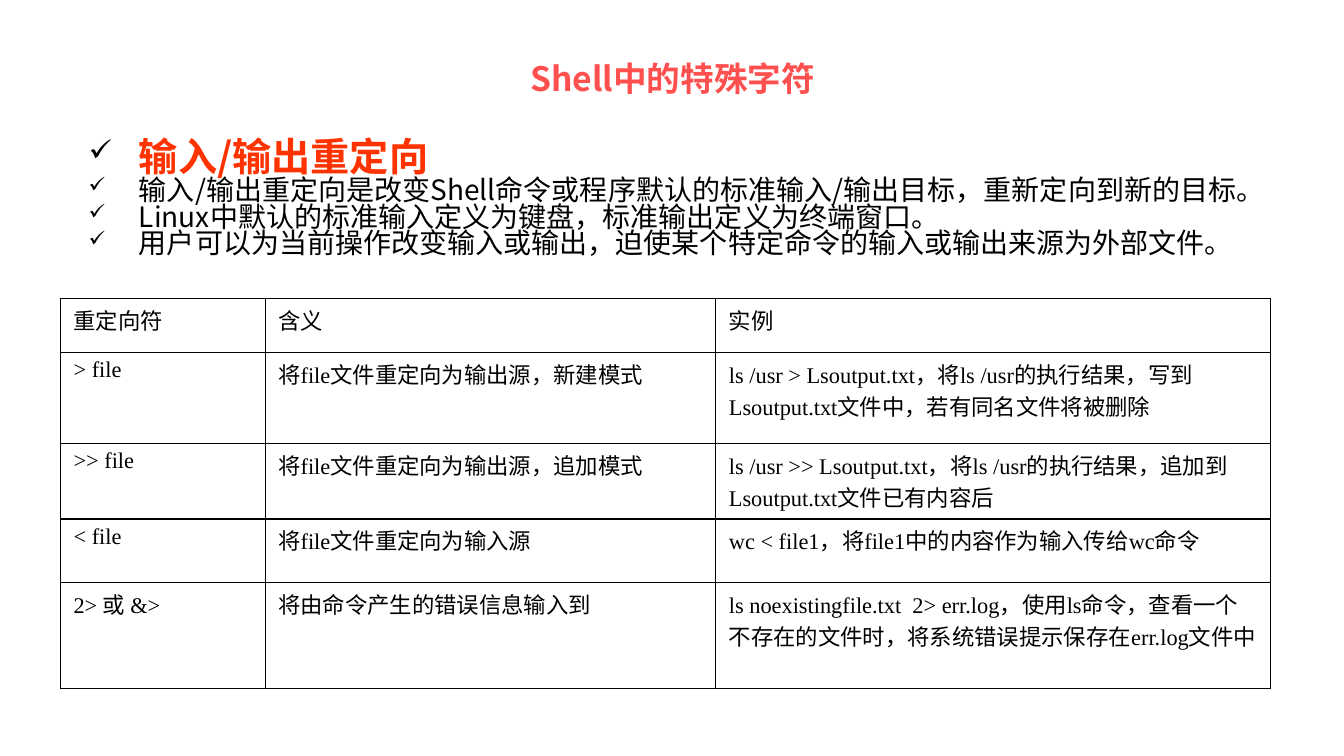
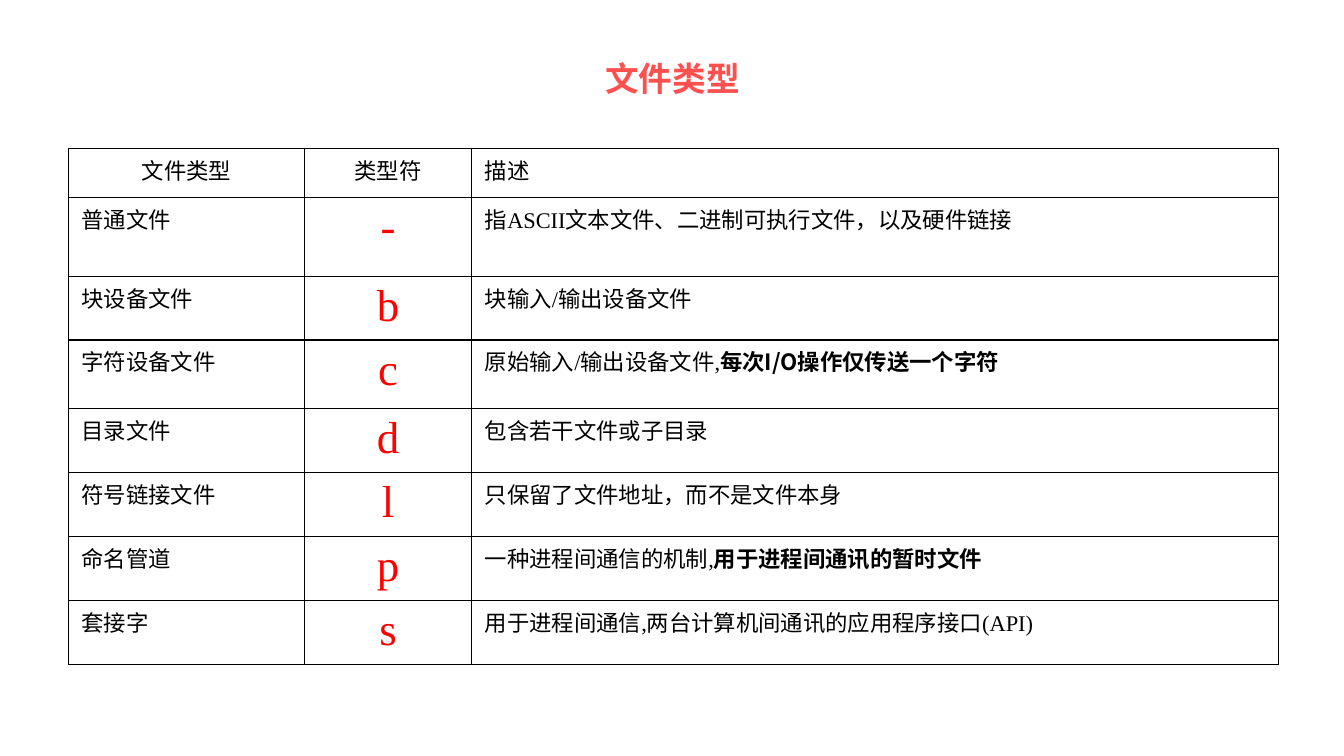
"""Builds two slides on shell redirection and file types."""
from dataclasses import dataclass
from lxml.etree import SubElement as Sub
from pptx import Presentation as Deck
from pptx.dml.color import RGBColor as Rgb
from pptx.enum.text import MSO_ANCHOR as Anchor, PP_ALIGN as Align
from pptx.oxml.ns import qn
from pptx.util import Pt

PX = 9144
HUES = {"title": "FF5050", "head": "FF3300", "text": "000000", "sign": "FF0000"}
SANS, SERIF = "Noto Sans CJK SC", "Times New Roman"


@dataclass(frozen=True)
class Style:
    size: int
    hue: str
    face: str = SANS
    bold: bool = False


@dataclass(frozen=True)
class Grid:
    x: int
    y: int
    cols: list[int]
    rows: list[int]
    cells: list[tuple]
    hang: int = 0
    signs: int = -1


TITLE = Style(24, "title", bold=True)
HEAD = Style(28, "head", bold=True)
BODY = Style(20, "text")
CELL = Style(16, "text", SERIF)
SIGN = Style(32, "sign", SERIF)

POINTS = [
    ("输入/输出重定向", HEAD),
    ("输入/输出重定向是改变Shell命令或程序默认的标准输入/输出目标，重新定向到新的目标。", BODY),
    ("Linux中默认的标准输入定义为键盘，标准输出定义为终端窗口。", BODY),
    ("用户可以为当前操作改变输入或输出，迫使某个特定命令的输入或输出来源为外部文件。", BODY),
]

FLOWS = Grid(60, 296, [203, 447, 550], [54, 90, 75, 63, 105], [
    ("重定向符", "含义", "实例"),
    ("> file", "将file文件重定向为输出源，新建模式",
     "ls /usr > Lsoutput.txt，将ls /usr的执行结果，写到Lsoutput.txt文件中，若有同名文件将被删除"),
    (">> file", "将file文件重定向为输出源，追加模式",
     "ls /usr >> Lsoutput.txt，将ls /usr的执行结果，追加到Lsoutput.txt文件已有内容后"),
    ("< file", "将file文件重定向为输入源", "wc < file1，将file1中的内容作为输入传给wc命令"),
    ("2> 或 &>", "将由命令产生的错误信息输入到",
     "ls noexistingfile.txt  2> err.log，使用ls命令，查看一个不存在的文件时，将系统错误提示保存在err.log文件中"),
])

KINDS = Grid(68, 147, [234, 166, 800], [49, 78, 63, 68, 63, 63, 63, 63], [
    ("文件类型", "类型符", "描述"),
    ("普通文件", "-", "指ASCII文本文件、二进制可执行文件，以及硬件链接"),
    ("块设备文件", "b", "块输入/输出设备文件"),
    ("字符设备文件", "c", ("原始输入/输出设备文件,", "每次I/O操作仅传送一个字符")),
    ("目录文件", "d", "包含若干文件或子目录"),
    ("符号链接文件", "l", "只保留了文件地址，而不是文件本身"),
    ("命名管道", "p", ("一种进程间通信的机制,", "用于进程间通讯的暂时文件")),
    ("套接字", "s", "用于进程间通信,两台计算机间通讯的应用程序接口(API)"),
], hang=30, signs=1)


def indent(para, hang: int) -> None:
    props = para._p.get_or_add_pPr()
    props.set("marL", str(hang * PX))
    props.set("indent", str(-hang * PX))


def paint(para, style: Style) -> None:
    font = para.font
    font.size, font.bold, font.name = Pt(style.size), style.bold, style.face
    font.color.rgb = Rgb.from_string(HUES[style.hue])
    props = para._p.pPr.find(qn("a:defRPr"))
    Sub(props, qn("a:ea"), typeface=SANS)


def tick(para) -> None:
    props = para._p.get_or_add_pPr()
    color = Sub(props, qn("a:buClr"))
    Sub(color, qn("a:srgbClr"), val=HUES["text"])
    Sub(props, qn("a:buSzPct"), val="76000")
    Sub(props, qn("a:buChar"), char="✓")


def add_box(slide, x: int, y: int, w: int, h: int):
    frame = slide.shapes.add_textbox(x * PX, y * PX, w * PX, h * PX).text_frame
    frame.word_wrap = True
    return frame


def add_title(deck, text: str):
    slide = deck.slides.add_slide(deck.slide_layouts[6])
    frame = add_box(slide, 83, 54, 1168, 46)
    frame.vertical_anchor = Anchor.MIDDLE
    para = frame.paragraphs[0]
    para.text, para.alignment = text, Align.CENTER
    paint(para, TITLE)
    return slide


def add_points(slide) -> None:
    frame = add_box(slide, 78, 135, 1173, 160)
    for i, (text, style) in enumerate(POINTS):
        para = frame.add_paragraph() if i else frame.paragraphs[0]
        para.text, para.line_spacing = text, 0.8
        indent(para, 50)
        tick(para)
        paint(para, style)


def frame_cell(cell) -> None:
    cell.margin_left = cell.margin_right = 13 * PX
    cell.margin_top = cell.margin_bottom = 5 * PX
    props = cell._tc.get_or_add_tcPr()
    for side in ("lnL", "lnR", "lnT", "lnB"):
        line = Sub(props, qn(f"a:{side}"), w=str(Pt(1)))
        fill = Sub(line, qn("a:solidFill"))
        Sub(fill, qn("a:srgbClr"), val=HUES["text"])
    cell.fill.background()


def fill_cell(cell, text: str | tuple, style: Style, mid: bool, hang: int) -> None:
    frame_cell(cell)
    para = cell.text_frame.paragraphs[0]
    if hang:
        indent(para, hang)
    if mid:
        para.alignment = Align.CENTER
    paint(para, style)
    parts = (text,) if isinstance(text, str) else text
    for i, part in enumerate(parts):
        run = para.add_run()
        run.text = part
        if i:
            run.font.name, run.font.bold = SANS, True


def add_grid(slide, grid: Grid) -> None:
    shape = slide.shapes.add_table(
        len(grid.rows), len(grid.cols), grid.x * PX, grid.y * PX,
        sum(grid.cols) * PX, sum(grid.rows) * PX)
    table = shape.table
    table.first_row = table.horz_banding = False
    for col, width in zip(table.columns, grid.cols):
        col.width = width * PX
    for r, (row, high) in enumerate(zip(table.rows, grid.rows)):
        row.height = high * PX
        for c, text in enumerate(grid.cells[r]):
            sign = r > 0 and c == grid.signs
            mid = sign or (r == 0 and c <= grid.signs)
            fill_cell(table.cell(r, c), text, SIGN if sign else CELL, mid, grid.hang)


def main() -> None:
    deck = Deck()
    deck.slide_width, deck.slide_height = 1333 * PX, 750 * PX
    slide = add_title(deck, "Shell中的特殊字符")
    add_points(slide)
    add_grid(slide, FLOWS)
    add_grid(add_title(deck, "文件类型"), KINDS)
    deck.save("out.pptx")


if __name__ == "__main__":
    main()
